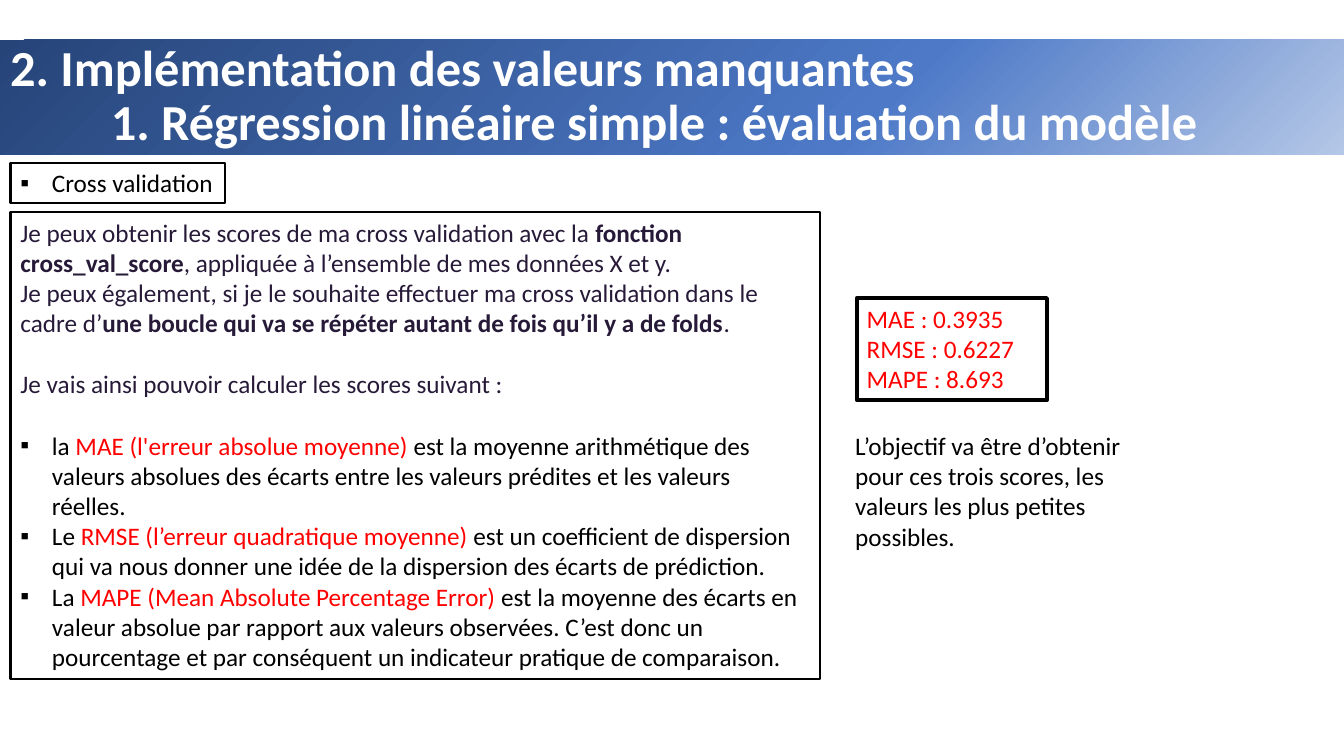
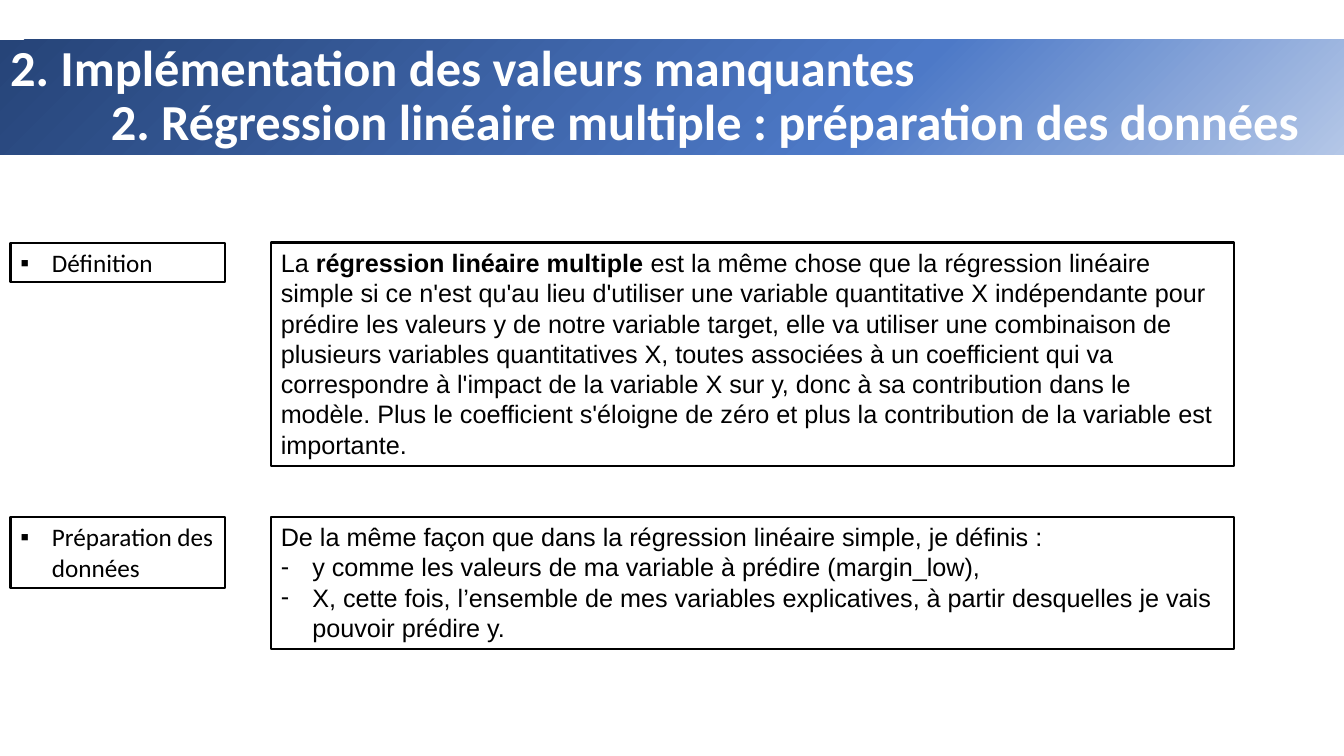
from lxml.etree import SubElement
from pptx import Presentation
from pptx.dml.color import RGBColor
from pptx.enum.shapes import MSO_SHAPE as Shape
from pptx.enum.text import MSO_ANCHOR as Anchor, MSO_AUTO_SIZE as AutoSize, PP_ALIGN as Align
from pptx.oxml.ns import qn
from pptx.util import Pt

PX = 9525
BLACK, WHITE, RED, PLUM = "000000", "FFFFFF", "FF0000", "271A38"
BAND = ((0, "B4C7E7"), (35, "4D79C7"), (100, "264478"))
LINE_GAP = 22


def px(count):
    """Turn px into EMU."""
    return count * PX


def paint(target, color):
    """Give a fill, line or font format a solid hex colour."""
    target.rgb = RGBColor.from_string(color)


def write(para, text, size=18, font="Calibri", color=BLACK, bold=False):
    """Add one formatted span to a paragraph."""
    span = para.add_run()
    span.text = text
    span.font.size = Pt(size)
    span.font.name = font
    span.font.bold = bold
    paint(span.font.color, color)


def set_bullet(para, mark):
    """Give a paragraph a hanging bullet."""
    props = para._p.get_or_add_pPr()
    props.set("marL", str(px(30)))
    props.set("indent", str(px(-30)))
    SubElement(props, qn("a:buFont"), typeface="Arial")
    SubElement(props, qn("a:buChar"), char=mark)


def fill_band(shape):
    """Fill a shape with the gradient that spreads from its lower right corner."""
    gradient = SubElement(shape._element.spPr, qn("a:gradFill"), rotWithShape="1")
    stops = SubElement(gradient, qn("a:gsLst"))
    for percent, color in BAND:
        stop = SubElement(stops, qn("a:gs"), pos=str(percent * 1000))
        SubElement(stop, qn("a:srgbClr"), val=color)
    circle = SubElement(gradient, qn("a:path"))
    circle.set("path", "circle")
    SubElement(circle, qn("a:fillToRect"), l="100000", t="100000")


class Deck:
    """Hold the style and the current page."""

    def __init__(self):
        """Start an empty wide deck."""
        self.deck = Presentation()
        self.deck.slide_width, self.deck.slide_height = px(1280), px(720)
        self.page = None

    def add_page(self, chapter, section):
        """Start a page with its two-line title band."""
        self.page = self.deck.slides.add_slide(self.deck.slide_layouts[5])
        title = self.page.shapes.title
        title.left, title.top, title.width, title.height = map(px, (0, 38, 1280, 109))
        fill_band(title)
        frame = title.text_frame
        frame.auto_size = AutoSize.NONE
        frame.vertical_anchor = Anchor.MIDDLE
        style = dict(size=36, color=WHITE, bold=True)
        self.add_para(frame, chapter, spacing=0.9, **style)
        para = self.add_para(frame, section, spacing=0.9, **style)
        para._p.get_or_add_pPr().set("marL", str(px(96)))

    def add_frame(self, left, top, width, height, weight=1.5):
        """Add an outlined text box and return its text frame."""
        box = self.page.shapes.add_shape(Shape.RECTANGLE, *map(px, (left, top, width, height)))
        box.shadow.inherit = False
        box.fill.background()
        paint(box.line.color, BLACK)
        box.line.width = Pt(weight)
        return self.prepare(box)

    def add_note(self, left, top, width, height):
        """Add a plain text box and return its text frame."""
        return self.prepare(self.page.shapes.add_textbox(*map(px, (left, top, width, height))))

    def prepare(self, box):
        """Make the text of a box wrap from the top and the box fit it."""
        frame = box.text_frame
        frame.word_wrap = True
        frame.auto_size = AutoSize.SHAPE_TO_FIT_TEXT
        frame.vertical_anchor = Anchor.TOP
        return frame

    def add_para(self, frame, *spans, bullet=None, before=0, spacing=1.0, **style):
        """Add a paragraph of spans, each a text or a text with its own format."""
        first = frame.paragraphs[0]
        para = frame.add_paragraph() if first.runs else first
        para.alignment = Align.LEFT
        para.line_spacing = spacing
        para.space_before = Pt(before)
        if bullet:
            set_bullet(para, bullet)
        for span in spans:
            text, extra = (span, {}) if isinstance(span, str) else span
            write(para, text, **{**style, **extra})
        return para

    def add_heading(self, text, top, height=38):
        """Add an outlined heading at the left edge."""
        self.add_para(self.add_frame(10, top, 204, height), text, bullet="▪")

    def save(self):
        """Save the deck."""
        self.deck.save("out.pptx")


def build_evaluation(deck):
    """Build the page on model evaluation."""
    deck.add_page("2. Implémentation des valeurs manquantes",
                  "1. Régression linéaire simple : évaluation du modèle")
    deck.add_heading("Cross validation", 155)
    bold, red = {"bold": True}, {"color": RED}

    method = deck.add_frame(10, 202, 771, 445)
    deck.add_para(method, "Je peux obtenir les scores de ma cross validation avec la ",
                  ("fonction cross_val_score", bold),
                  ", appliquée à l’ensemble de mes données X et y.", color=PLUM)
    deck.add_para(method, "Je peux également, si je le souhaite effectuer ma cross validation "
                  "dans le cadre d’",
                  ("une boucle qui va se répéter autant de fois qu’il y a de folds", bold),
                  ".", color=PLUM)
    deck.add_para(method, "Je vais ainsi pouvoir calculer les scores suivant :",
                  before=LINE_GAP, color=PLUM)
    definitions = (
        ("la ", "MAE (l'erreur absolue moyenne) ",
         "est la moyenne arithmétique des valeurs absolues des écarts entre les valeurs "
         "prédites et les valeurs réelles."),
        ("Le ", "RMSE (l’erreur quadratique moyenne) ",
         "est un coefficient de dispersion qui va nous donner une idée de la dispersion "
         "des écarts de prédiction."),
        ("La ", "MAPE (Mean Absolute Percentage Error) ",
         "est la moyenne des écarts en valeur absolue par rapport aux valeurs observées. "
         "C’est donc un pourcentage et par conséquent un indicateur pratique de comparaison."),
    )
    for index, (article, score, meaning) in enumerate(definitions):
        deck.add_para(method, article, (score, red), meaning, bullet="▪",
                      before=0 if index else LINE_GAP)

    scores = deck.add_frame(816, 284, 181, 97, weight=3)
    for score in ("MAE : 0.3935", "RMSE : 0.6227", "MAPE : 8.693"):
        deck.add_para(scores, score, color=RED)
    deck.add_para(deck.add_note(805, 405, 290, 126),
                  "L’objectif va être d’obtenir pour ces trois scores, les valeurs "
                  "les plus petites possibles.")


def build_preparation(deck):
    """Build the page on data preparation."""
    deck.add_page("2. Implémentation des valeurs manquantes",
                  "2. Régression linéaire multiple : préparation des données")
    deck.add_heading("Définition", 231)
    definition = deck.add_frame(258, 231, 917, 213)
    deck.add_para(definition, "La ", ("régression linéaire multiple ", {"bold": True}),
                  "est la même chose que la régression linéaire simple si ce n'est qu'au lieu "
                  "d'utiliser une variable quantitative X indépendante pour prédire les valeurs "
                  "y de notre variable target, elle va utiliser une combinaison de plusieurs "
                  "variables quantitatives X, toutes associées à un coefficient qui va "
                  "correspondre à l'impact de la variable X sur y, donc à sa contribution dans "
                  "le modèle. Plus le coefficient s'éloigne de zéro et plus la contribution de "
                  "la variable est importante.", font="Arial")

    deck.add_heading("Préparation des données", 492, 68)
    steps = deck.add_frame(258, 492, 917, 126)
    deck.add_para(steps, "De la même façon que dans la régression linéaire simple, "
                  "je définis :", font="Arial")
    for step in ("y comme les valeurs de ma variable à prédire (margin_low),",
                 "X, cette fois, l’ensemble de mes variables explicatives, à partir "
                 "desquelles je vais pouvoir prédire y."):
        deck.add_para(steps, step, bullet="-", font="Arial")


def main():
    """Build and save the deck."""
    deck = Deck()
    build_evaluation(deck)
    build_preparation(deck)
    deck.save()


if __name__ == "__main__":
    main()
